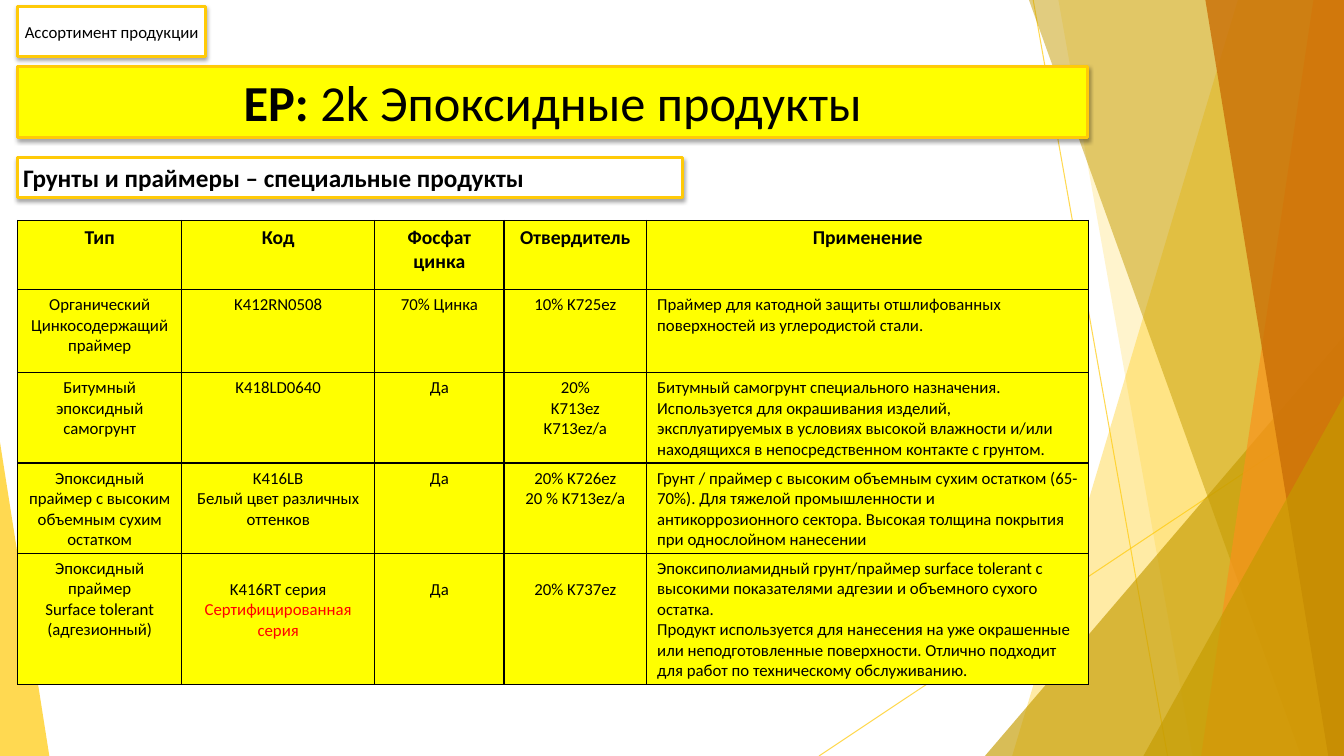
from lxml import etree
from pptx import Presentation
from pptx.dml.color import RGBColor
from pptx.enum.shapes import MSO_CONNECTOR, MSO_SHAPE
from pptx.enum.text import MSO_ANCHOR, MSO_AUTO_SIZE, PP_ALIGN
from pptx.oxml import parse_xml
from pptx.oxml.ns import qn
from pptx.util import Pt

PX = 9525
WIDTH, HEIGHT = 1280, 720
FONT = "Calibri"
GOLD, OCHRE, YELLOW, BLACK, WHITE, RED = (
    "FFCA08", "C59B00", "FFFF00", "000000", "FFFFFF", "FF0000")
LEFT, CENTER = PP_ALIGN.LEFT, PP_ALIGN.CENTER
TOP, MIDDLE = MSO_ANCHOR.TOP, MSO_ANCHOR.MIDDLE
RECT, TRIANGLE = MSO_SHAPE.RECTANGLE, MSO_SHAPE.ISOSCELES_TRIANGLE
STRAIGHT = MSO_CONNECTOR.STRAIGHT
NO_FIT = MSO_AUTO_SIZE.NONE
NS = 'xmlns:a="http://schemas.openxmlformats.org/drawingml/2006/main"'
SHADOW = (f'<a:effectLst {NS}><a:outerShdw blurRad="38100" dist="22860" dir="5400000" '
          'rotWithShape="0"><a:srgbClr val="000000"><a:alpha val="35000"/></a:srgbClr>'
          '</a:outerShdw></a:effectLst>')
BORDER = (f'<a:{{side}} {NS} w="12700"><a:solidFill><a:srgbClr val="{BLACK}"/>'
          '</a:solidFill></a:{side}>')

RAYS = [((984, 0), (1112, 720)), ((1280, 387), (780, 720))]
FACETS = [
    ("band", (1179, 964), GOLD, 36),
    ("band", (1008, 1136), GOLD, 20),
    ("triangle", (938, 320, 342, 400, 1), OCHRE, 66),
    ("band", (980, 1239), OCHRE, 50),
    ("band", (1251, 1144), "F8931D", 70),
    ("band", (1148, 1265), "CA6F06", 80),
    ("triangle", (1089, 377, 191, 343, 1), OCHRE, 66),
    ("triangle", (0, 421, 47, 299, 0), GOLD, 70),
]
COLUMNS = [156, 184, 123, 136, 421]
ROW_HEIGHTS = [66, 79, 86, 86, 125]
PRODUCTS = [
    ["Тип", "Код", "Фосфат цинка", "Отвердитель", "Применение"],
    ["Органический\nЦинкосодержащий праймер", "K412RN0508", "70% Цинка", "10% K725ez",
     "Праймер для катодной защиты отшлифованных поверхностей из углеродистой стали."],
    ["Битумный эпоксидный самогрунт", "K418LD0640", "Да", "20%\nK713ez\nK713ez/a",
     "Битумный самогрунт специального назначения. Используется для окрашивания изделий, "
     "эксплуатируемых в условиях высокой влажности и/или находящихся в непосредственном "
     "контакте с грунтом."],
    ["Эпоксидный праймер с высоким объемным сухим остатком",
     "K416LB\nБелый цвет различных оттенков", "Да", "20% K726ez\n20 % K713ez/a",
     "Грунт / праймер с высоким объемным сухим остатком (65-70%). Для тяжелой "
     "промышленности и антикоррозионного сектора. Высокая толщина покрытия при "
     "однослойном нанесении"],
    ["Эпоксидный праймер\nSurface tolerant\n(адгезионный)",
     "K416RT серия\nСертифицированная серия", "Да", "20% K737ez",
     "Эпоксиполиамидный грунт/праймер surface tolerant с высокими показателями адгезии "
     "и объемного сухого остатка.\nПродукт используется для нанесения на уже окрашенные "
     "или неподготовленные поверхности. Отлично подходит для работ по техническому "
     "обслуживанию."],
]


def px(*values):
    return [v * PX for v in values]


def rgb(color):
    return RGBColor.from_string(color)


def set_fill(sp, color):
    sp.fill.solid()
    sp.fill.fore_color.rgb = rgb(color)


def set_opacity(sp, percent):
    color = next(sp._element.spPr.iter(qn("a:srgbClr")))
    etree.SubElement(color, qn("a:alpha")).set("val", str(percent * 1000))


def format_paragraph(p, size, align, bold=None, color=BLACK):
    p.alignment = align
    p.font.name = FONT
    p.font.size = Pt(size)
    p.font.bold = bold
    p.font.color.rgb = rgb(color)


def add_ray(s, start, end):
    line = s.shapes.add_connector(STRAIGHT, *px(*start, *end))
    line.line.color.rgb = rgb(GOLD)
    line.line.width = Pt(0.75)
    set_opacity(line, 70)
    etree.SubElement(line._element.spPr, qn("a:effectLst"))


def add_facet(s, kind, geometry, color, opacity):
    if kind == "band":
        top_x, bottom_x = geometry
        builder = s.shapes.build_freeform(top_x, 0, scale=PX)
        builder.add_line_segments([(WIDTH, 0), (WIDTH, HEIGHT), (bottom_x, HEIGHT)])
        sp = builder.convert_to_shape()
    else:
        *box, apex = geometry
        sp = s.shapes.add_shape(TRIANGLE, *px(*box))
        sp.adjustments[0] = apex
    set_fill(sp, color)
    set_opacity(sp, opacity)
    sp.line.fill.background()
    sp.shadow.inherit = False


def format_panel(sp, box, color):
    sp.left, sp.top, sp.width, sp.height = px(*box)
    set_fill(sp, color)
    sp.line.color.rgb = rgb(GOLD)
    sp.line.width = Pt(2)
    sp._element.spPr.append(parse_xml(SHADOW))
    tf = sp.text_frame
    tf.word_wrap = True
    tf.auto_size = NO_FIT
    tf.vertical_anchor = MIDDLE
    tf.margin_left = tf.margin_right = tf.margin_top = tf.margin_bottom = 5 * PX
    return tf.paragraphs[0]


def add_panel(s, box, text, size, align, bold=False):
    sp = s.shapes.add_shape(RECT, *px(*box))
    p = format_panel(sp, box, WHITE)
    p.text = text
    format_paragraph(p, size, align, bold)


def add_title(s):
    title = s.shapes.title
    title._element.getparent().append(title._element)
    p = format_panel(title, (17, 63, 1019, 68), YELLOW)
    for text, bold in [("EP: ", True), ("2k Эпоксидные продукты", False)]:
        r = p.add_run()
        r.text = text
        r.font.bold = bold
    format_paragraph(p, 36, CENTER)


def format_cell(cell, text, size, align, bold):
    tcPr = cell._tc.get_or_add_tcPr()
    for side in ("lnL", "lnR", "lnT", "lnB"):
        tcPr.append(parse_xml(BORDER.format(side=side)))
    set_fill(cell, YELLOW)
    cell.vertical_anchor = TOP
    cell.margin_left = cell.margin_right = 10 * PX
    cell.margin_top, cell.margin_bottom = px(5, 2)
    cell.text = text
    for p in cell.text_frame.paragraphs:
        format_paragraph(p, size, align, bold)


def add_products(s):
    box = px(17, 210, sum(COLUMNS), sum(ROW_HEIGHTS))
    table = s.shapes.add_table(len(PRODUCTS), len(COLUMNS), *box).table
    table.first_row = table.horz_banding = False
    for column, width in zip(table.columns, COLUMNS):
        column.width = width * PX
    for row, height in zip(table.rows, ROW_HEIGHTS):
        row.height = height * PX
    for i, texts in enumerate(PRODUCTS):
        header = i == 0
        for j, text in enumerate(texts):
            align = LEFT if j == len(COLUMNS) - 1 and not header else CENTER
            format_cell(table.cell(i, j), text, 14 if header else 12, align, header)
    last = len(PRODUCTS) - 1
    for j in range(1, 4):
        table.cell(last, j).margin_top = 25 * PX
    table.cell(last, 1).text_frame.paragraphs[1].font.color.rgb = rgb(RED)


def main():
    prs = Presentation()
    prs.slide_width, prs.slide_height = px(WIDTH, HEIGHT)
    s = prs.slides.add_slide(prs.slide_layouts[5])
    for start, end in RAYS:
        add_ray(s, start, end)
    for facet in FACETS:
        add_facet(s, *facet)
    add_title(s)
    add_panel(s, (17, 6, 179, 48), "Ассортимент продукции", 12, CENTER)
    add_products(s)
    add_panel(s, (17, 150, 633, 38), "Грунты и праймеры – специальные продукты",
              18, LEFT, True)
    prs.save("out.pptx")


if __name__ == "__main__":
    main()
